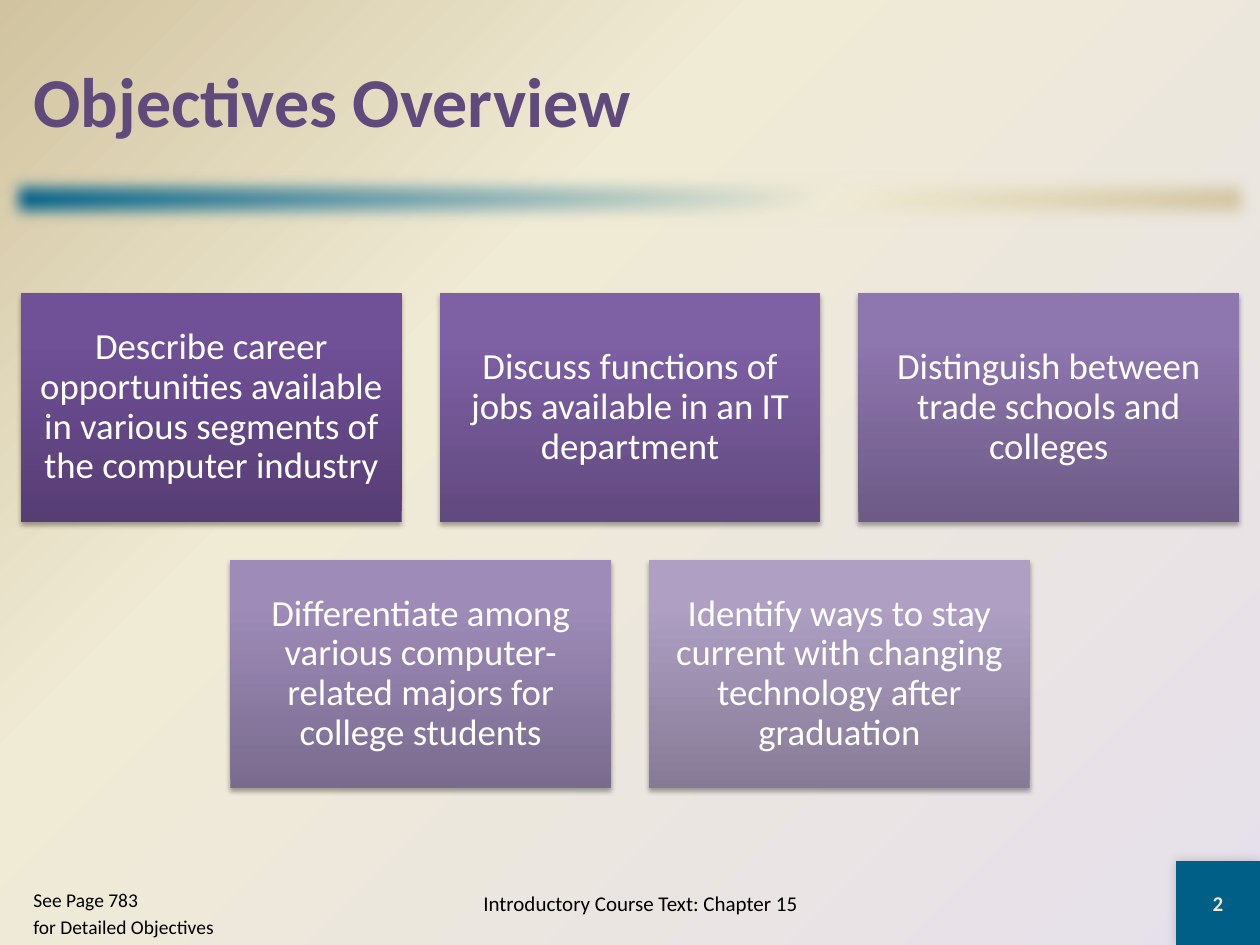
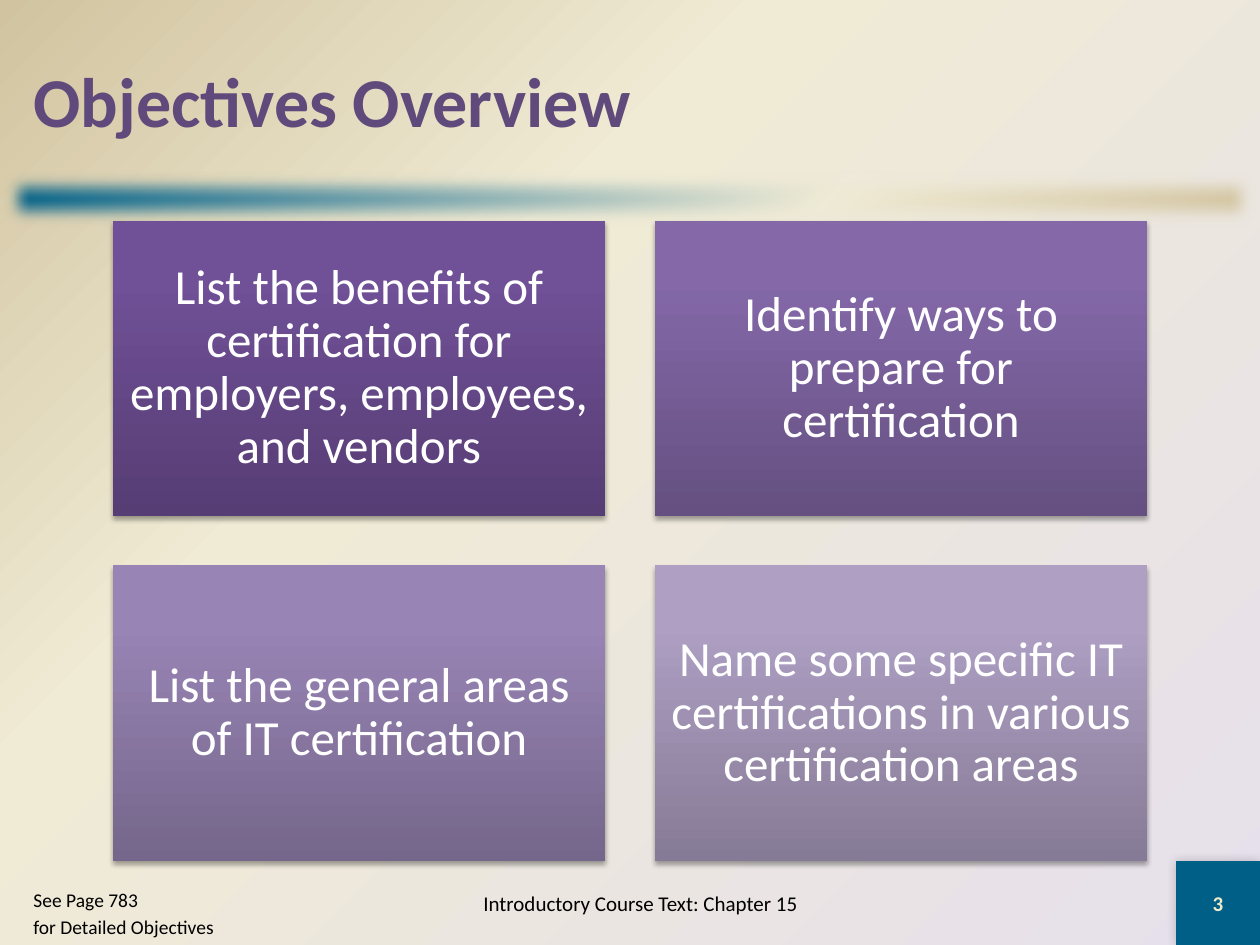
import math

from lxml import etree
from pptx import Presentation
from pptx import util as u
from pptx.dml.color import RGBColor
from pptx.enum import shapes, text
from pptx.oxml.ns import qn

# The slide is a grid of 60 columns by 45 rows
WIDTH, HEIGHT = u.Inches(10), u.Inches(7.5)
UNIT = WIDTH / 60

COLORS = {
    "title": "604A7B", "teal": "005F86", "cream": "F0EBD5", "tan": "D1C39F",
    "lilac": "E6E0EC", "number": "EEEBCA", "black": "000000", "white": "FFFFFF",
}
# Bottom, upper and top tone of each card
CARD_TONES = {
    "deep": ("563D74", "705097", "704F99"),
    "strong": ("614A7F", "7E60A5", "7F60A7"),
    "strong of four": ("655081", "8468A8", "8467AA"),
    "middle": ("6D5B86", "8E76AE", "8E75B0"),
    "soft of four": ("75668B", "9884B5", "9984B7"),
    "soft": ("796B8E", "9E8BB8", "9E8BBA"),
    "pale": ("867B96", "AE9FC3", "AE9FC4"),
}

TITLE_BOX = (1, 1, 58, 7.5)
BAND_BOX = (0, 8, 60, 3)
CARDS_BOX = (1, 10.5, 58, 30.5)
CHAPTER_BOX = (18, 41.5, 25, 3)
PAGE_BOX = (1, 42, 11, 3)
NUMBER_BOX = (56, 41, 4, 4)

SLIDES = [
    {"number": 2, "columns": 3, "size": 21, "cards": [
        ("Describe career opportunities available in various segments of "
         "the computer industry", "deep"),
        ("Discuss functions of jobs available in an IT department", "strong"),
        ("Distinguish between trade schools and colleges", "middle"),
        ("Differentiate among various computer-related majors for college students",
         "soft"),
        ("Identify ways to stay current with changing technology after graduation",
         "pale"),
    ]},
    {"number": 3, "columns": 2, "size": 28, "cards": [
        ("List the benefits of certification for employers, employees, and vendors",
         "deep"),
        ("Identify ways to prepare for certification", "strong of four"),
        ("List the general areas of IT certification", "soft of four"),
        ("Name some specific IT certifications in various certification areas", "pale"),
    ]},
]


def place(box):
    return [u.Emu(round(length * UNIT)) for length in box]


def set_all(target, values):
    for name, value in values.items():
        setattr(target, name, value)


def add_child(parent, tag, **attributes):
    child = etree.SubElement(parent, qn(tag))
    for name, value in attributes.items():
        child.set(name, str(value))
    return child


def set_gradient(fill, element, stops, angle=None):
    """Fill with (percent, colour) stops: linear at an angle, else from the corner."""
    fill.solid()
    solid = element.find(".//" + qn("a:solidFill"))
    gradient = etree.Element(qn("a:gradFill"), rotWithShape="1")
    stop_list = add_child(gradient, "a:gsLst")
    for percent, color in stops:
        stop = add_child(stop_list, "a:gs", pos=percent * 1000)
        add_child(stop, "a:srgbClr", val=color)
    if angle is None:
        spread = add_child(gradient, "a:path", path="circle")
        add_child(spread, "a:fillToRect", l=100000, t=100000)
    else:
        add_child(gradient, "a:lin", ang=angle * 60000, scaled=0)
    solid.getparent().replace(solid, gradient)


def add_effect(shape, tag, **attributes):
    effects = shape.element.spPr.find(qn("a:effectLst"))
    return add_child(effects, tag, **attributes)


def add_shadow(shape, opacity, blur, distance, direction):
    shadow = add_effect(shape, "a:outerShdw", blurRad=u.Pt(blur), dist=u.Pt(distance),
                        dir=direction * 60000, rotWithShape=0)
    color = add_child(shadow, "a:srgbClr", val=COLORS["black"])
    add_child(color, "a:alpha", val=opacity * 1000)


def add_rectangle(slide, box):
    rectangle = slide.shapes.add_shape(shapes.MSO_SHAPE.RECTANGLE, *place(box))
    rectangle.shadow.inherit = False
    rectangle.line.fill.background()
    return rectangle


def write(shape, lines, size, color, bold=False, align=text.PP_ALIGN.CENTER,
          anchor=text.MSO_ANCHOR.MIDDLE, spacing=None, gap=0):
    frame = shape.text_frame
    set_all(frame, {"word_wrap": True, "auto_size": text.MSO_AUTO_SIZE.NONE,
                    "vertical_anchor": anchor})
    for index, line in enumerate(lines):
        paragraph = frame.add_paragraph() if index else frame.paragraphs[0]
        set_all(paragraph, {"alignment": align, "line_spacing": spacing,
                            "space_before": u.Pt(gap if index else 0)})
        run = paragraph.add_run()
        run.text = line
        set_all(run.font, {"name": "Calibri", "size": u.Pt(size), "bold": bold})
        run.font.color.rgb = RGBColor.from_string(COLORS[color])


def add_heading(slide, box):
    heading = slide.shapes.title
    set_all(heading, dict(zip(("left", "top", "width", "height"), place(box))))
    write(heading, ["Objectives Overview"], 40, "title", bold=True,
          align=text.PP_ALIGN.LEFT)


def add_band(slide, box):
    band = add_rectangle(slide, box)
    stops = [(0, COLORS["teal"]), (65, COLORS["cream"]), (100, COLORS["tan"])]
    set_gradient(band.fill, band.element.spPr, stops, 45)
    add_effect(band, "a:softEdge", rad=u.Pt(10))


def add_cards(slide, box, cards, columns, size):
    """Centre the largest 5:3 cards, a tenth of their width apart, in the box."""
    left, top, width, height = box
    rows = math.ceil(len(cards) / columns)
    card_width = min(width / (1.1 * columns - 0.1), height / (0.7 * rows - 0.1))
    card_height, gap = 0.6 * card_width, 0.1 * card_width
    first_top = top + (height - rows * (card_height + gap) + gap) / 2
    for row in range(rows):
        row_cards = cards[row * columns:(row + 1) * columns]
        row_left = left + (width - len(row_cards) * (card_width + gap) + gap) / 2
        for column, (objective, tone) in enumerate(row_cards):
            card = add_rectangle(slide, (row_left + column * (card_width + gap),
                                         first_top + row * (card_height + gap),
                                         card_width, card_height))
            set_gradient(card.fill, card.element.spPr,
                         zip((0, 80, 100), CARD_TONES[tone]), 270)
            add_shadow(card, 35, 3.1, 1.8, 90)
            sides = ("left", "top", "right", "bottom")
            set_all(card.text_frame,
                    {f"margin_{side}": u.Pt(0.3 * size) for side in sides})
            write(card, [objective], size, "white", spacing=0.9)


def add_footer(slide, number):
    # Chapter line
    chapter = slide.shapes.add_textbox(*place(CHAPTER_BOX))
    write(chapter, ["Introductory Course Text: Chapter 15"], 12, "black")

    # Page reference
    page = slide.shapes.add_textbox(*place(PAGE_BOX))
    write(page, ["See Page 783", "for Detailed Objectives"], 11.1, "black",
          align=text.PP_ALIGN.LEFT, anchor=text.MSO_ANCHOR.TOP, gap=2.2)

    # Slide number square
    square = add_rectangle(slide, NUMBER_BOX)
    square.fill.solid()
    square.fill.fore_color.rgb = RGBColor.from_string(COLORS["teal"])
    add_shadow(square, 20, 6, 0, 225)
    write(square, [str(number)], 12, "number", bold=True)


def add_objectives_slide(deck, number, columns, size, cards):
    slide = deck.slides.add_slide(deck.slide_layouts[5])
    stops = [(0, COLORS["lilac"]), (65, COLORS["cream"]), (100, COLORS["tan"])]
    set_gradient(slide.background.fill, slide.element, stops)
    add_heading(slide, TITLE_BOX)
    add_band(slide, BAND_BOX)
    add_cards(slide, CARDS_BOX, cards, columns, size)
    add_footer(slide, number)


def main():
    deck = Presentation()
    set_all(deck, {"slide_width": WIDTH, "slide_height": HEIGHT})
    for content in SLIDES:
        add_objectives_slide(deck, **content)
    deck.save("out.pptx")


if __name__ == "__main__":
    main()
